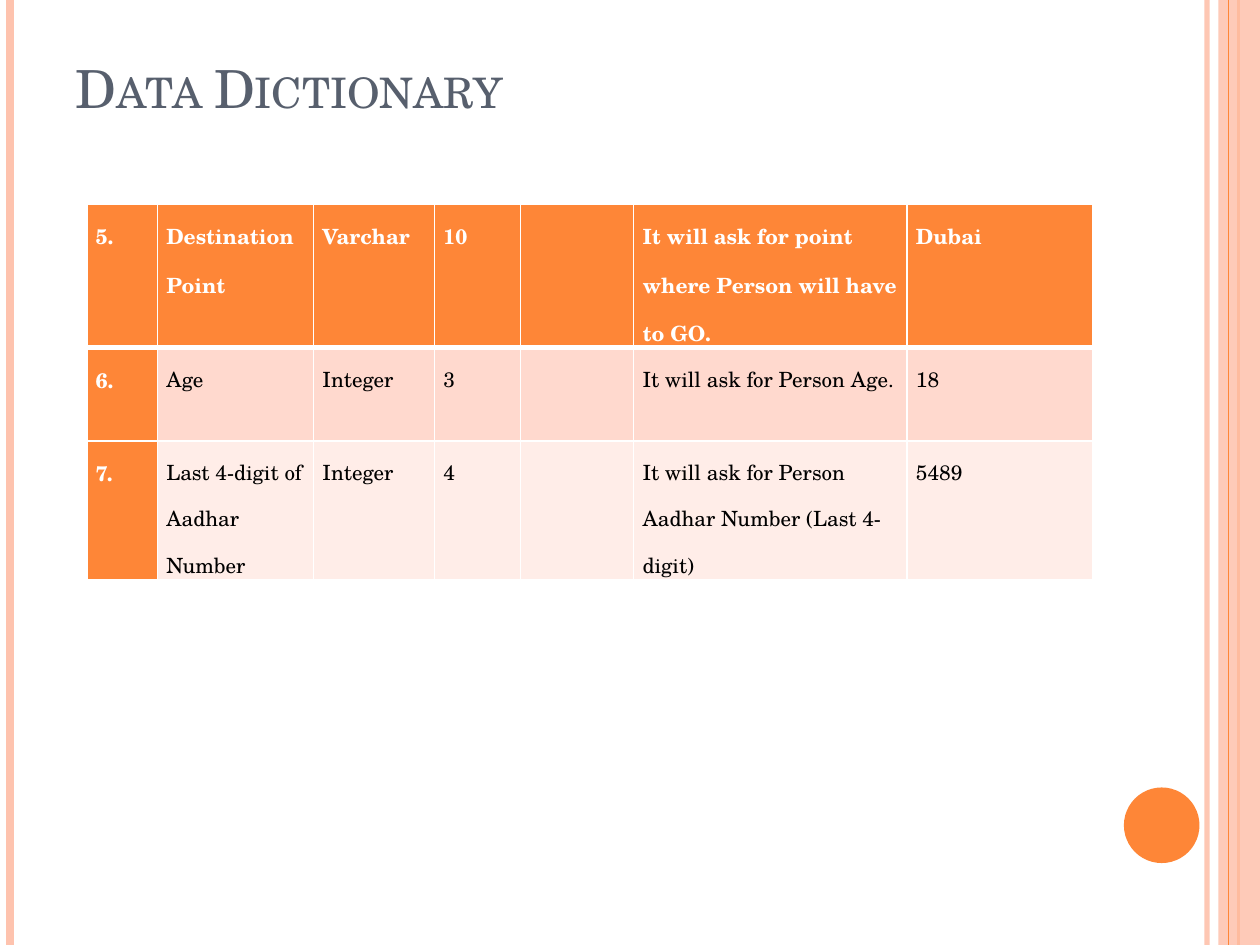
from lxml import etree
from pptx import Presentation
from pptx.dml.color import RGBColor
from pptx.enum.shapes import MSO_CONNECTOR, MSO_SHAPE
from pptx.enum.text import MSO_ANCHOR, PP_ALIGN
from pptx.oxml.ns import qn
from pptx.util import Inches, Pt

STRAIGHT = MSO_CONNECTOR.STRAIGHT
RECTANGLE, OVAL = MSO_SHAPE.RECTANGLE, MSO_SHAPE.OVAL
BOTTOM, JUSTIFY = MSO_ANCHOR.BOTTOM, PP_ALIGN.JUSTIFY

ORANGE = RGBColor(0xFE, 0x86, 0x37)
PEACH = RGBColor(0xFE, 0xC3, 0xAE)
SLATE = RGBColor(0x57, 0x5F, 0x6D)
WHITE = RGBColor(0xFF, 0xFF, 0xFF)
BLACK = RGBColor(0, 0, 0)
BAND_FILLS = [ORANGE, RGBColor(0xFF, 0xD9, 0xCE), RGBColor(0xFF, 0xED, 0xE8)]
FONT = "TeX Gyre Schola"
PAGE_WIDTH, PAGE_HEIGHT = 10, 7.5

COLUMN_WIDTHS = [0.56, 1.24, 0.96, 0.68, 0.9, 2.17, 1.47]
ROW_HEIGHTS = [1.14, 0.74, 1.1]
ROWS = [
    ["5.", "Destination Point", "Varchar", "10", "",
     "It will ask for point where Person will have to GO.", "Dubai"],
    ["6.", "Age", "Integer", "3", "", "It will ask for Person Age.", "18"],
    ["7.", "Last 4-digit of Aadhar Number", "Integer", "4", "",
     "It will ask for Person Aadhar Number (Last 4-digit)", "5489"],
]


def set_opacity(fill, percent):
    """Make a solid fill partly transparent."""
    color = fill._xPr.find(qn("a:solidFill"))[0]
    etree.SubElement(color, qn("a:alpha"), val=str(percent * 1000))


def add_vertical_line(page, x, color, width, opacity=100):
    line = page.shapes.add_connector(
        STRAIGHT, Inches(x), 0, Inches(x), Inches(PAGE_HEIGHT))
    line.line.color.rgb = color
    line.line.width = Pt(width)
    if opacity < 100:
        set_opacity(line.line.fill, opacity)
    etree.SubElement(line._element.spPr, qn("a:effectLst"))


def add_filled_shape(page, kind, left, top, width, height, color, opacity=100):
    shape = page.shapes.add_shape(
        kind, Inches(left), Inches(top), Inches(width), Inches(height))
    shape.shadow.inherit = False
    shape.fill.solid()
    shape.fill.fore_color.rgb = color
    shape.line.fill.background()
    if opacity < 100:
        set_opacity(shape.fill, opacity)


def style_font(font, size, color, bold=False):
    font.name, font.size, font.bold = FONT, Pt(size), bold
    font.color.rgb = color


def add_title(page, text):
    box = page.shapes.add_textbox(
        Inches(0.5), Inches(0.3), Inches(8.17), Inches(0.69))
    box.text_frame.word_wrap = True
    box.text_frame.vertical_anchor = BOTTOM
    para = box.text_frame.paragraphs[0]
    span = para.add_run()
    span.text = text
    style_font(para.font, 30, SLATE)
    span._r.get_or_add_rPr().set("cap", "small")


def set_borders(cell, top, bottom):
    """Draw white borders, with the widths of top and bottom in points."""
    properties = cell._tc.get_or_add_tcPr()
    for side, width in (("L", 1), ("R", 1), ("T", top), ("B", bottom)):
        border = etree.SubElement(properties, qn(f"a:ln{side}"), w=str(Pt(width)))
        fill = etree.SubElement(border, qn("a:solidFill"))
        etree.SubElement(fill, qn("a:srgbClr"), val=str(WHITE))


def fill_cell(cell, text, row, column):
    set_borders(cell, top=3 if row == 1 else 1, bottom=3 if row == 0 else 1)
    is_heading = row == 0 or column == 0
    cell.fill.solid()
    cell.fill.fore_color.rgb = ORANGE if is_heading else BAND_FILLS[row]
    cell.margin_left = cell.margin_right = Inches(0.07)
    cell.margin_top = cell.margin_bottom = 0
    cell.text = text
    para = cell.text_frame.paragraphs[0]
    para.line_spacing = 1.5
    if column == len(COLUMN_WIDTHS) - 1:
        para.alignment = JUSTIFY
    style_font(para.font, 12, WHITE if is_heading else BLACK, is_heading)


def add_dictionary_table(page):
    table = page.shapes.add_table(
        len(ROWS), len(COLUMN_WIDTHS), Inches(0.69), Inches(1.62),
        Inches(sum(COLUMN_WIDTHS)), Inches(sum(ROW_HEIGHTS))).table
    for column, width in zip(table.columns, COLUMN_WIDTHS):
        column.width = Inches(width)
    for row, height in zip(table.rows, ROW_HEIGHTS):
        row.height = Inches(height)
    for row, texts in enumerate(ROWS):
        for column, text in enumerate(texts):
            fill_cell(table.cell(row, column), text, row, column)


def main():
    deck = Presentation()
    deck.slide_width, deck.slide_height = Inches(PAGE_WIDTH), Inches(PAGE_HEIGHT)
    page = deck.slides.add_slide(deck.slide_layouts[6])
    add_vertical_line(page, 9.58, PEACH, 3, opacity=93)
    add_vertical_line(page, 0.08, PEACH, 4.5)
    add_vertical_line(page, 9.83, ORANGE, 1.5)
    add_filled_shape(page, RECTANGLE, 9.67, 0, 0.33, PAGE_HEIGHT, PEACH, opacity=87)
    add_vertical_line(page, 9.75, ORANGE, 0.75)
    add_filled_shape(page, OVAL, 8.92, 6.25, 0.6, 0.6, ORANGE)
    add_title(page, "Data Dictionary")
    add_dictionary_table(page)
    deck.save("out.pptx")


if __name__ == "__main__":
    main()
